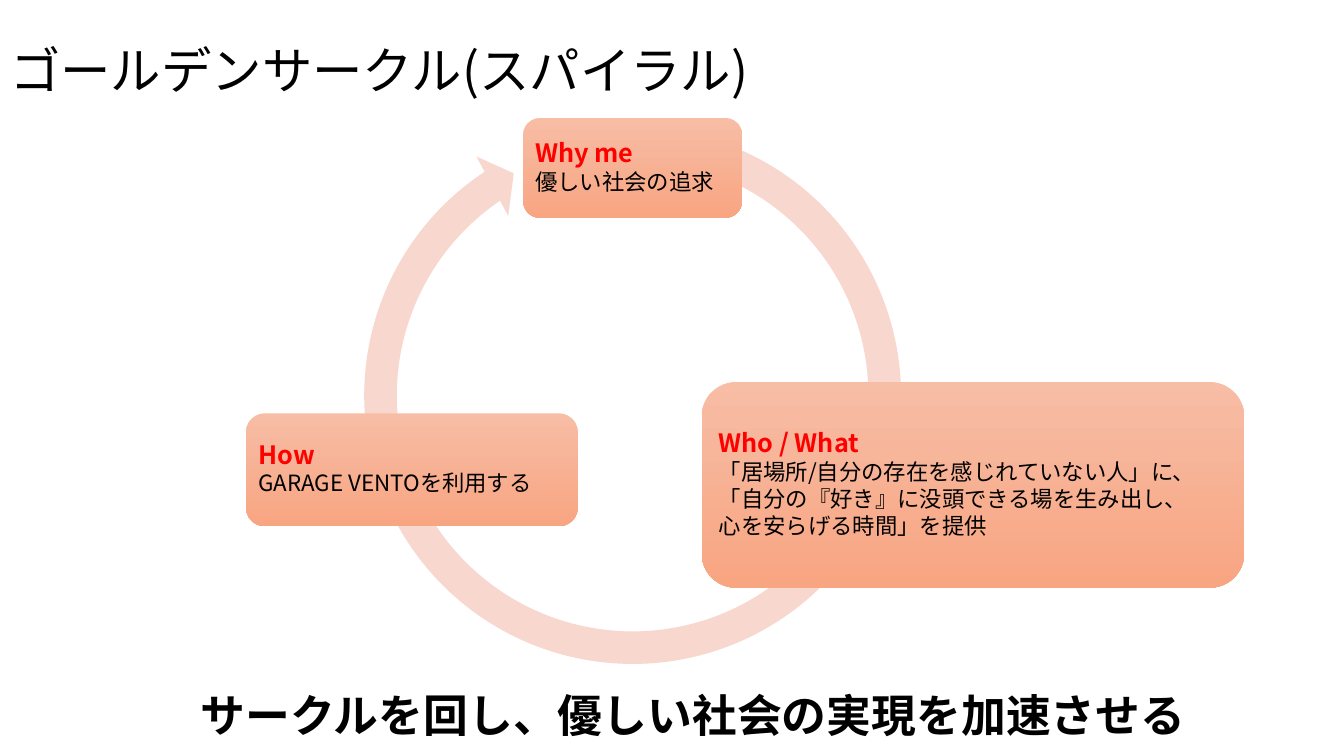
import pptx
import pptx.dml.color
import pptx.enum.shapes
import pptx.enum.text
import pptx.oxml
import pptx.oxml.ns
import pptx.util
from pptx.util import Inches

RGBColor = pptx.dml.color.RGBColor
BLACK = RGBColor(0x00, 0x00, 0x00)
RED = RGBColor(0xFF, 0x00, 0x00)
ARROW_PINK = RGBColor(0xF8, 0xD7, 0xCE)
CARD_TOP = RGBColor(0xF7, 0xBD, 0xA5)
CARD_BOTTOM = RGBColor(0xF8, 0xA5, 0x82)

FONT = "Noto Sans CJK JP"
SHAPE = pptx.enum.shapes.MSO_SHAPE
ALIGN = pptx.enum.text.PP_ALIGN
ANCHOR = pptx.enum.text.MSO_ANCHOR
AUTO_SIZE = pptx.enum.text.MSO_AUTO_SIZE

CARDS = [
    ((5.19, 1.17, 2.17, 0.99), "Why me", ["優しい社会の追求"]),
    ((6.96, 3.79, 5.38, 2.04), "Who / What", [
        "「居場所/自分の存在を感じれていない人」に、",
        "「自分の『好き』に没頭できる場を生み出し、",
        "心を安らげる時間」を提供",
    ]),
    ((2.44, 4.1, 3.29, 1.12), "How", ["GARAGE VENTOを利用する"]),
]


def write_text(para, text, size=16, color=BLACK, bold=False, line_spacing=None, space_after=None):
    para.alignment = ALIGN.LEFT
    para.line_spacing = line_spacing
    if space_after is not None:
        para.space_after = pptx.util.Pt(space_after)
    span = para.add_run()
    span.text = text
    span.font.size = pptx.util.Pt(size)
    span.font.bold = bold
    span.font.color.rgb = color
    span.font.name = FONT
    # Japanese letters take their font from the East Asian setting
    east_asian = pptx.oxml.parse_xml(
        f'<a:ea {pptx.oxml.ns.nsdecls("a")} typeface="{FONT}"/>')
    span.font._element.find(pptx.oxml.ns.qn("a:latin")).addnext(east_asian)


def add_plain_shape(page, kind, place):
    """Add a preset shape without line or shadow."""
    shape = page.shapes.add_shape(kind, *map(Inches, place))
    shape.shadow.inherit = False
    shape.line.fill.background()
    return shape


def add_cycle_arrow(page):
    arrow = add_plain_shape(page, SHAPE.CIRCULAR_ARROW, (3.44, 1.09, 5.67, 5.67))
    for index, value in enumerate((0.057, 3.405, 141.709, 171.442, 0.059)):
        arrow.adjustments[index] = value
    arrow.fill.solid()
    arrow.fill.fore_color.rgb = ARROW_PINK


def add_card(page, place, heading, lines):
    card = add_plain_shape(page, SHAPE.ROUNDED_RECTANGLE, place)
    card.fill.gradient()
    card.fill.gradient_angle = 270
    for stop, color in zip(card.fill.gradient_stops, (CARD_TOP, CARD_BOTTOM)):
        stop.color.rgb = color
    frame = card.text_frame
    frame.word_wrap = True
    frame.vertical_anchor = ANCHOR.MIDDLE
    frame.margin_left = frame.margin_right = Inches(0.07)
    frame.margin_top = frame.margin_bottom = Inches(0.07)
    write_text(frame.paragraphs[0], heading, size=18, color=RED, bold=True,
               line_spacing=0.9, space_after=2)
    for line in lines:
        write_text(frame.add_paragraph(), line, line_spacing=0.9, space_after=2)


def add_conclusion(page):
    box = page.shapes.add_textbox(*map(Inches, (1.89, 6.77, 10.08, 0.64)))
    box.text_frame.word_wrap = False
    box.text_frame.auto_size = AUTO_SIZE.SHAPE_TO_FIT_TEXT
    write_text(box.text_frame.paragraphs[0], "サークルを回し、優しい社会の実現を加速させる",
               size=32, bold=True)


def set_title(page):
    title = page.shapes.title
    title.left, title.top, title.width, title.height = map(Inches, (0, 0, 11.5, 1.45))
    title.text_frame.auto_size = AUTO_SIZE.NONE
    title.text_frame.vertical_anchor = ANCHOR.MIDDLE
    write_text(title.text_frame.paragraphs[0], "ゴールデンサークル(スパイラル)",
               size=36, line_spacing=0.9)


def main():
    deck = pptx.Presentation()
    deck.slide_width, deck.slide_height = Inches(13.33), Inches(7.5)
    page = deck.slides.add_slide(deck.slide_layouts.get_by_name("Title Only"))
    set_title(page)
    add_cycle_arrow(page)
    for place, heading, lines in CARDS:
        add_card(page, place, heading, lines)
    add_conclusion(page)
    deck.save("out.pptx")


if __name__ == "__main__":
    main()
